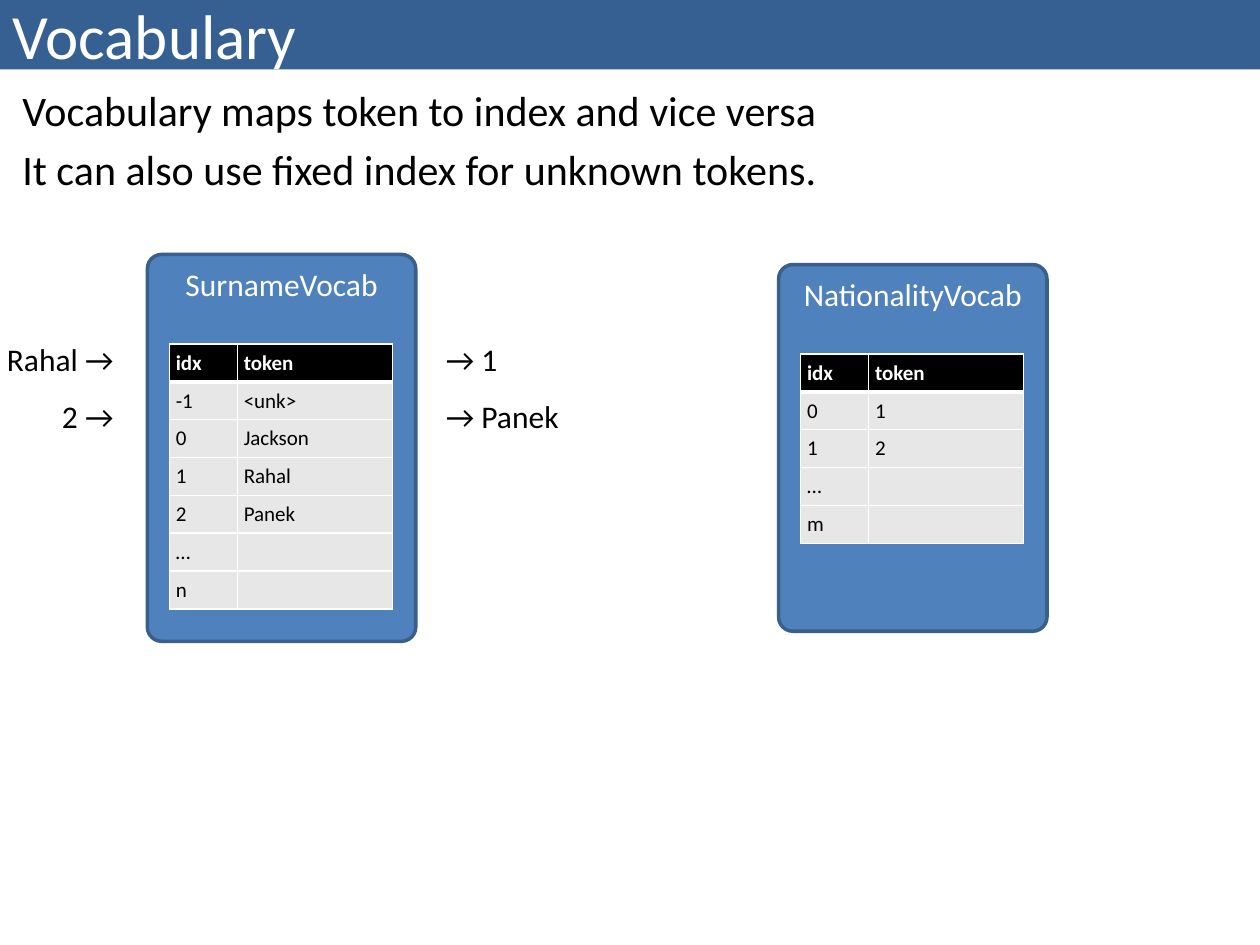
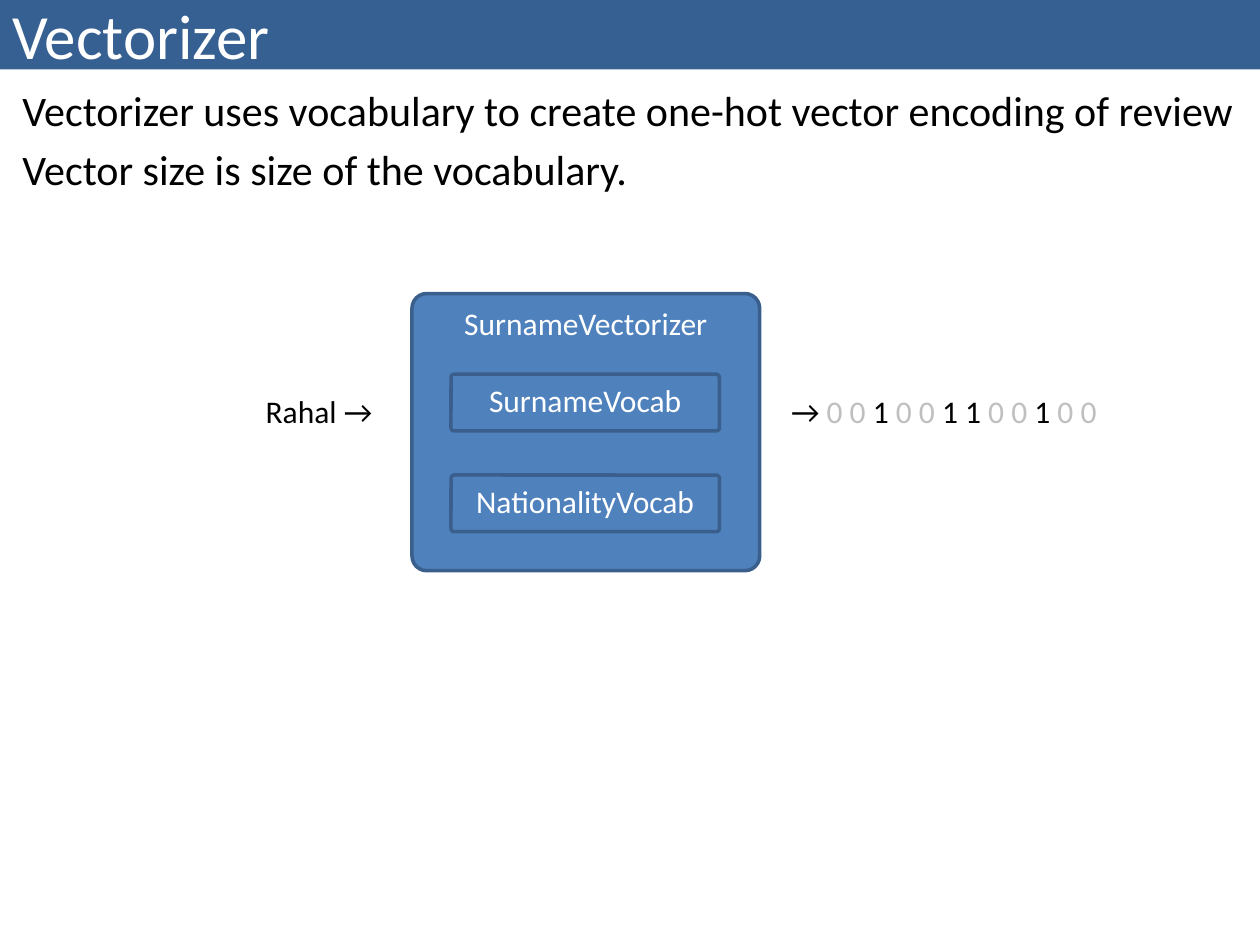
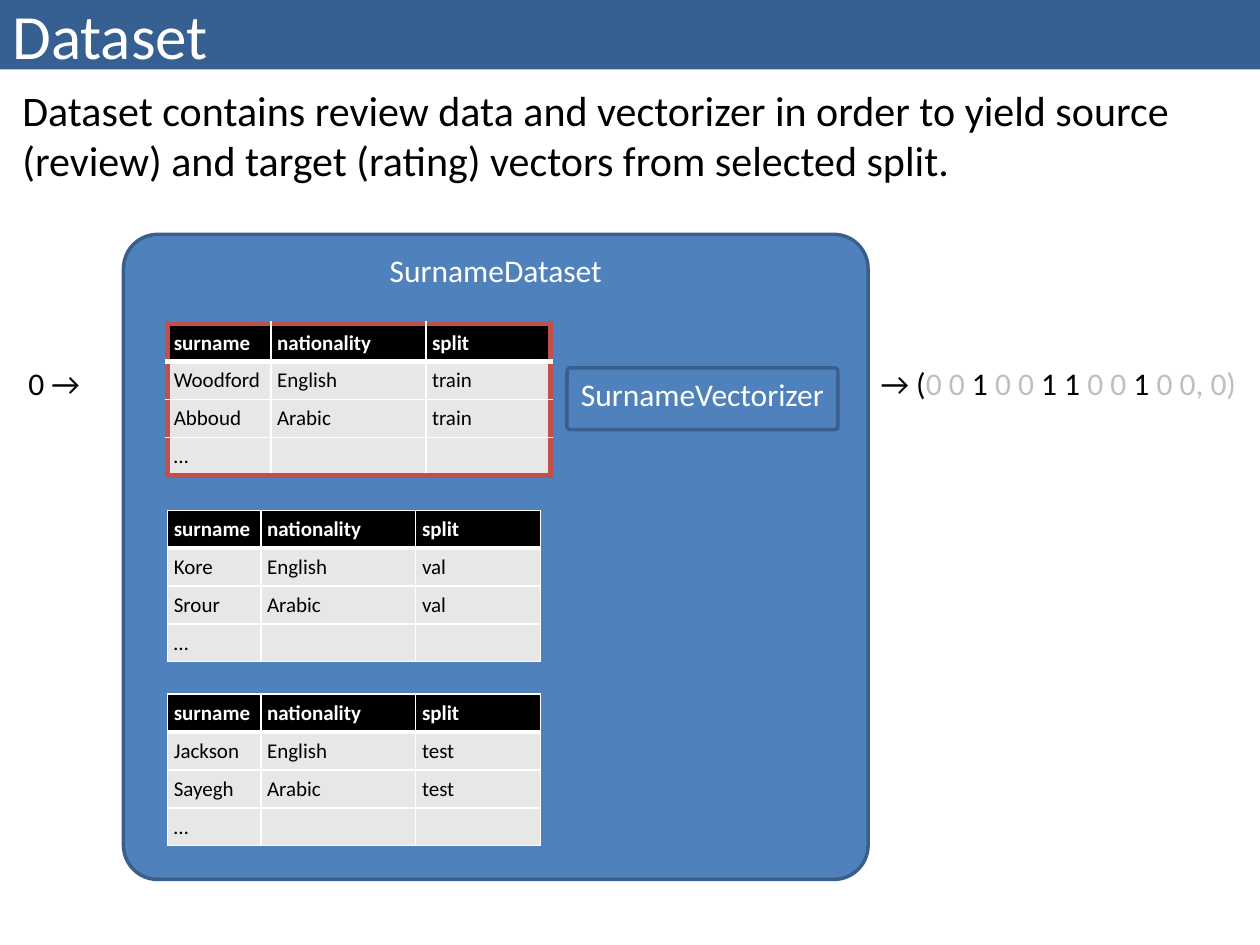
from lxml.etree import SubElement
from pptx import Presentation
from pptx.dml.color import RGBColor
from pptx.enum.shapes import MSO_SHAPE
from pptx.enum.text import MSO_ANCHOR, PP_ALIGN
from pptx.oxml.ns import qn
from pptx.util import Inches, Pt

FONT = "Calibri"
WHITE, BLACK, GRAY, RED = "FFFFFF", "000000", "BFBFBF", "C0504D"
BAND, BOX, BOX_LINE, CELL = "376092", "4F81BD", "3A5F8C", "E7E7E7"
COLUMNS, ROWS = 100, 75
WIDTH, HEIGHT = Inches(10), Inches(7.5)
TABLE_ROW = 3
TOKEN_COLUMNS = (5.4, 12.3)
ONE_HOT = "0 0| 1 |0 0| 1 1 |0 0| 1 |0 0"


def color(value):
    """Turn a hex string into a colour."""
    return RGBColor.from_string(value)


def across(columns):
    """Convert grid columns to a length."""
    return round(WIDTH * columns / COLUMNS)


def down(rows):
    """Convert grid rows to a length."""
    return round(HEIGHT * rows / ROWS)


def place(left, top, width, height):
    """Convert a rectangle on the grid to lengths."""
    return across(left), down(top), across(width), down(height)


class Deck:
    """Hold the presentation, its style and the current slide."""

    def __init__(self):
        """Start an empty presentation."""
        self.presentation = Presentation()
        self.presentation.slide_width = WIDTH
        self.presentation.slide_height = HEIGHT
        self.slide = None

    def style(self, paragraph, size, shade, align=PP_ALIGN.LEFT, bold=False):
        """Set the font and alignment of a paragraph."""
        paragraph.alignment = align
        font = paragraph.font
        font.name, font.size, font.bold = FONT, Pt(size), bold
        font.color.rgb = color(shade)

    def shape(self, kind, area, fill, text, size, align):
        """Draw a filled shape with white text."""
        shape = self.slide.shapes.add_shape(kind, *place(*area))
        shape.shadow.inherit = False
        shape.fill.solid()
        shape.fill.fore_color.rgb = color(fill)
        paragraph = shape.text_frame.paragraphs[0]
        paragraph.text = text
        self.style(paragraph, size, WHITE, align)
        return shape

    def start(self, title, *statements):
        """Add a slide with its title band and body text."""
        self.slide = self.presentation.slides.add_slide(self.presentation.slide_layouts[6])
        band = self.shape(MSO_SHAPE.RECTANGLE, (0, 0, COLUMNS, 5.5), BAND, title, 36, PP_ALIGN.LEFT)
        band.line.fill.background()
        band.text_frame.vertical_anchor = MSO_ANCHOR.MIDDLE
        body = self.slide.shapes.add_textbox(*place(0.8, 6.2, 98.4, 11.6)).text_frame
        body.word_wrap = True
        for index, statement in enumerate(statements):
            paragraph = body.add_paragraph() if index else body.paragraphs[0]
            paragraph.text = statement
            paragraph.space_before = Pt(4.8)
            self.style(paragraph, 24, BLACK)

    def box(self, text, *area):
        """Draw a rounded box named at its top."""
        box = self.shape(MSO_SHAPE.ROUNDED_RECTANGLE, area, BOX, text, 18, PP_ALIGN.CENTER)
        box.adjustments[0] = 0.053
        box.line.color.rgb = color(BOX_LINE)
        box.line.width = Pt(2)
        box.text_frame.vertical_anchor = MSO_ANCHOR.TOP

    def label(self, text, left, top, width, align=PP_ALIGN.LEFT, wrap=True):
        """Write a label whose parts, split by bars, alternate black and gray."""
        frame = self.slide.shapes.add_textbox(*place(left, top, width, 4)).text_frame
        frame.word_wrap = wrap
        paragraph = frame.paragraphs[0]
        self.style(paragraph, 18, BLACK, align)
        for index, part in enumerate(text.split("|")):
            run = paragraph.add_run()
            run.text = part
            if index % 2:
                run.font.color.rgb = color(GRAY)

    def borders(self, cell, edges):
        """Draw the left, right, top and bottom borders of a cell."""
        properties = cell._tc.get_or_add_tcPr()
        for index, (side, (shade, width)) in enumerate(zip("LRTB", edges)):
            line = properties.makeelement(qn(f"a:ln{side}"), {"w": str(Pt(width))})
            fill = SubElement(line, qn("a:solidFill"))
            SubElement(fill, qn("a:srgbClr"), val=shade)
            properties.insert(index, line)

    def table(self, left, top, widths, records, outline=(WHITE, 1)):
        """Add a table with a black header row."""
        count, last = len(records), len(widths) - 1
        area = place(left, top, sum(widths), count * TABLE_ROW)
        table = self.slide.shapes.add_table(count, len(widths), *area).table
        for column, width in zip(table.columns, widths):
            column.width = across(width)
        thin, thick = (WHITE, 1), (WHITE, 3)
        for y, record in enumerate(records):
            table.rows[y].height = down(TABLE_ROW)
            horizontal = (
                outline if y == 0 else thick if y == 1 else thin,
                outline if y == count - 1 else thick if y == 0 else thin,
            )
            for x, text in enumerate(record):
                cell = table.cell(y, x)
                cell.margin_left = cell.margin_right = Inches(0.05)
                cell.margin_top = cell.margin_bottom = Inches(0.05)
                cell.fill.solid()
                cell.fill.fore_color.rgb = color(CELL if y else BLACK)
                paragraph = cell.text_frame.paragraphs[0]
                paragraph.text = text
                self.style(paragraph, 12, BLACK if y else WHITE, bold=y == 0)
                if not text:
                    SubElement(paragraph._p, qn("a:endParaRPr"), sz="1200")
                vertical = (outline if x == 0 else thin, outline if x == last else thin)
                self.borders(cell, vertical + horizontal)

    def vocabulary(self, name, left, top, height, tokens):
        """Draw a vocabulary box with its table of tokens."""
        self.box(name, left, top, 21.3, height)
        self.table(left + 1.75, top + 7.1, TOKEN_COLUMNS, [("idx", "token"), *tokens])

    def split(self, top, name, surnames, first_width=7.4, **outline):
        """Add the table of one data split."""
        records = [("surname", "nationality", "split")]
        records += [(surname, nationality, name)
                    for surname, nationality in zip(surnames, ("English", "Arabic"))]
        records.append(("…", "", ""))
        self.table(13.3, top, (first_width, 12.3, 9.9), records, **outline)


def main():
    """Build the three slides and save them."""
    deck = Deck()

    deck.start("Vocabulary", "Vocabulary maps token to index and vice versa",
               "It can also use fixed index for unknown tokens.")
    surnames = [("-1", "<unk>"), ("0", "Jackson"), ("1", "Rahal"), ("2", "Panek"),
                ("…", ""), ("n", "")]
    deck.vocabulary("SurnameVocab", 11.7, 20.2, 30.7, surnames)
    nationalities = [("0", "1"), ("1", "2"), ("…", ""), ("m", "")]
    deck.vocabulary("NationalityVocab", 61.8, 21, 29.1, nationalities)
    lookups = [("Rahal →", 10.8, "→ 1", 6.3), ("2 →", 6.3, "→ Panek", 11.3)]
    for index, (query, query_width, answer, answer_width) in enumerate(lookups):
        top = 26.5 + 4.55 * index
        deck.label(query, 10 - query_width, top, query_width, PP_ALIGN.RIGHT, wrap=False)
        deck.label(answer, 34.4, top, answer_width, wrap=False)

    deck.start("Vectorizer",
               "Vectorizer uses vocabulary to create one-hot vector encoding of review",
               "Vector size is size of the vocabulary.")
    deck.box("SurnameVectorizer", 32.7, 23.3, 27.6, 22)
    for index, name in enumerate(("SurnameVocab", "NationalityVocab")):
        deck.box(name, 35.8, 29.7 + 8 * index, 21.3, 4.5)
    deck.label("Rahal → ", 3.5, 30.6, 27.6, PP_ALIGN.RIGHT)
    deck.label(f"→ |{ONE_HOT}", 61.8, 30.6, 27.6)

    deck.start("Dataset", "Dataset contains review data and vectorizer in order to yield source "
               "(review) and target (rating) vectors from selected split.")
    deck.box("SurnameDataset", 9.8, 18.6, 59.1, 51.2)
    deck.split(25.7, "train", ("Woodford", "Abboud"), first_width=8.2, outline=(RED, 3))
    deck.split(40.5, "val", ("Kore", "Srour"))
    deck.split(55.1, "test", ("Jackson", "Sayegh"))
    deck.label("0 → ", 1.2, 28.4, 6.7, PP_ALIGN.RIGHT)
    deck.label(f"→ (|{ONE_HOT}, 0)", 68.9, 28.4, 30.8)
    deck.box("SurnameVectorizer", 45, 29.2, 21.5, 4.9)

    deck.presentation.save("out.pptx")


if __name__ == "__main__":
    main()
